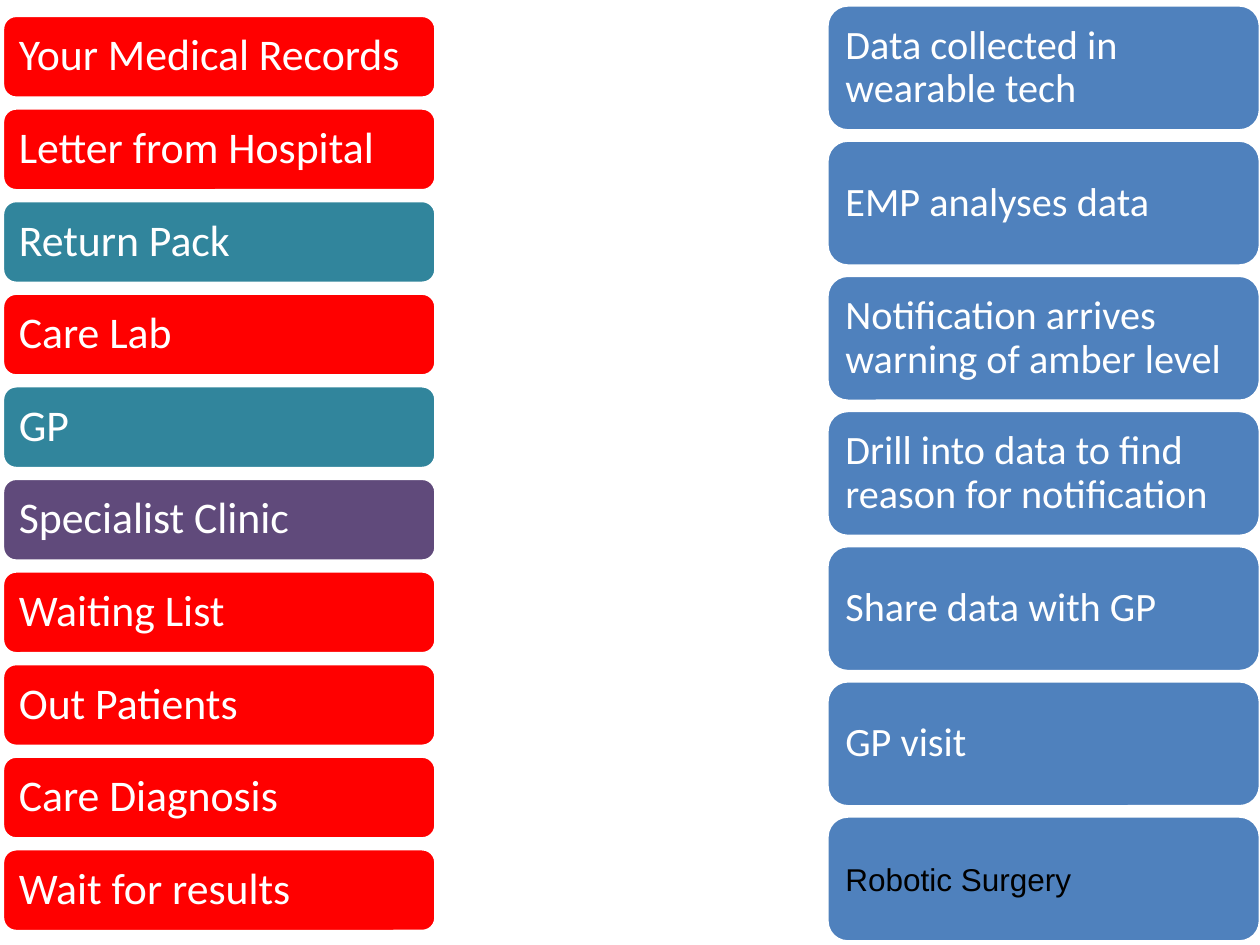
"""Build a slide that sets a traditional care pathway beside a data-driven one."""
from dataclasses import dataclass

from pptx import Presentation
from pptx.dml.color import RGBColor
from pptx.enum.shapes import MSO_SHAPE
from pptx.enum.text import MSO_ANCHOR, PP_ALIGN
from pptx.util import Cm, Pt

RED, TEAL, PURPLE, BLUE = "FF0000", "31859C", "604A7B", "4F81BD"
WHITE, BLACK = "FFFFFF", "000000"
BOX_WIDTH = 8.74


@dataclass(frozen=True)
class Step:
    text: str
    fill: str = BLUE
    font: str = "Calibri"
    size: int = 23
    color: str = WHITE
    spacing: float = 0.9


@dataclass(frozen=True)
class Pathway:
    left: float
    first_top: float
    last_top: float
    box_height: float
    steps: list[Step]


TRADITIONAL = Pathway(0.05, 0.31, 17.11, 1.67, [
    Step(text, fill, size=25)
    for text, fill in [
        ("Your Medical Records", RED),
        ("Letter from Hospital", RED),
        ("Return Pack", TEAL),
        ("Care Lab", RED),
        ("GP", TEAL),
        ("Specialist Clinic", PURPLE),
        ("Waiting List", RED),
        ("Out Patients", RED),
        ("Care Diagnosis", RED),
        ("Wait for results", RED),
    ]
])
DATA_DRIVEN = Pathway(16.67, 0.1, 16.45, 2.54, [
    Step("Data collected in wearable tech"),
    Step("EMP analyses data"),
    Step("Notification arrives warning of amber level"),
    Step("Drill into data to find reason for notification"),
    Step("Share data with GP"),
    Step("GP visit"),
    Step("Robotic Surgery", font="Arial", size=18, color=BLACK, spacing=1.0),
])


def paint(target, color: str) -> None:
    target.solid()
    target.fore_color.rgb = RGBColor.from_string(color)


def write(box, text: str, *, font: str, size: int, color: str, spacing: float) -> None:
    frame = box.text_frame
    frame.word_wrap = True
    frame.vertical_anchor = MSO_ANCHOR.MIDDLE
    frame.margin_left = frame.margin_right = Cm(0.25)
    frame.margin_top = frame.margin_bottom = Cm(0.36)
    para = frame.paragraphs[0]
    para.alignment = PP_ALIGN.LEFT
    para.line_spacing = spacing
    span = para.add_run()
    span.text = text
    span.font.name = font
    span.font.size = Pt(size)
    paint(span.font.fill, color)


def draw_step(page, step: Step, left: float, top: float, height: float) -> None:
    box = page.shapes.add_shape(
        MSO_SHAPE.ROUNDED_RECTANGLE, Cm(left), Cm(top), Cm(BOX_WIDTH), Cm(height)
    )
    box.shadow.inherit = False
    paint(box.fill, step.fill)
    paint(box.line.fill, WHITE)
    box.line.width = Pt(2)
    write(box, step.text, font=step.font, size=step.size, color=step.color,
          spacing=step.spacing)


def draw_pathway(page, pathway: Pathway) -> None:
    pitch = (pathway.last_top - pathway.first_top) / (len(pathway.steps) - 1)
    for index, step in enumerate(pathway.steps):
        top = pathway.first_top + index * pitch
        draw_step(page, step, pathway.left, top, pathway.box_height)


def main() -> None:
    deck = Presentation()
    deck.slide_width, deck.slide_height = Cm(25.4), Cm(19.05)
    page = deck.slides.add_slide(deck.slide_layouts[6])
    for pathway in (TRADITIONAL, DATA_DRIVEN):
        draw_pathway(page, pathway)
    deck.save("out.pptx")


if __name__ == "__main__":
    main()
